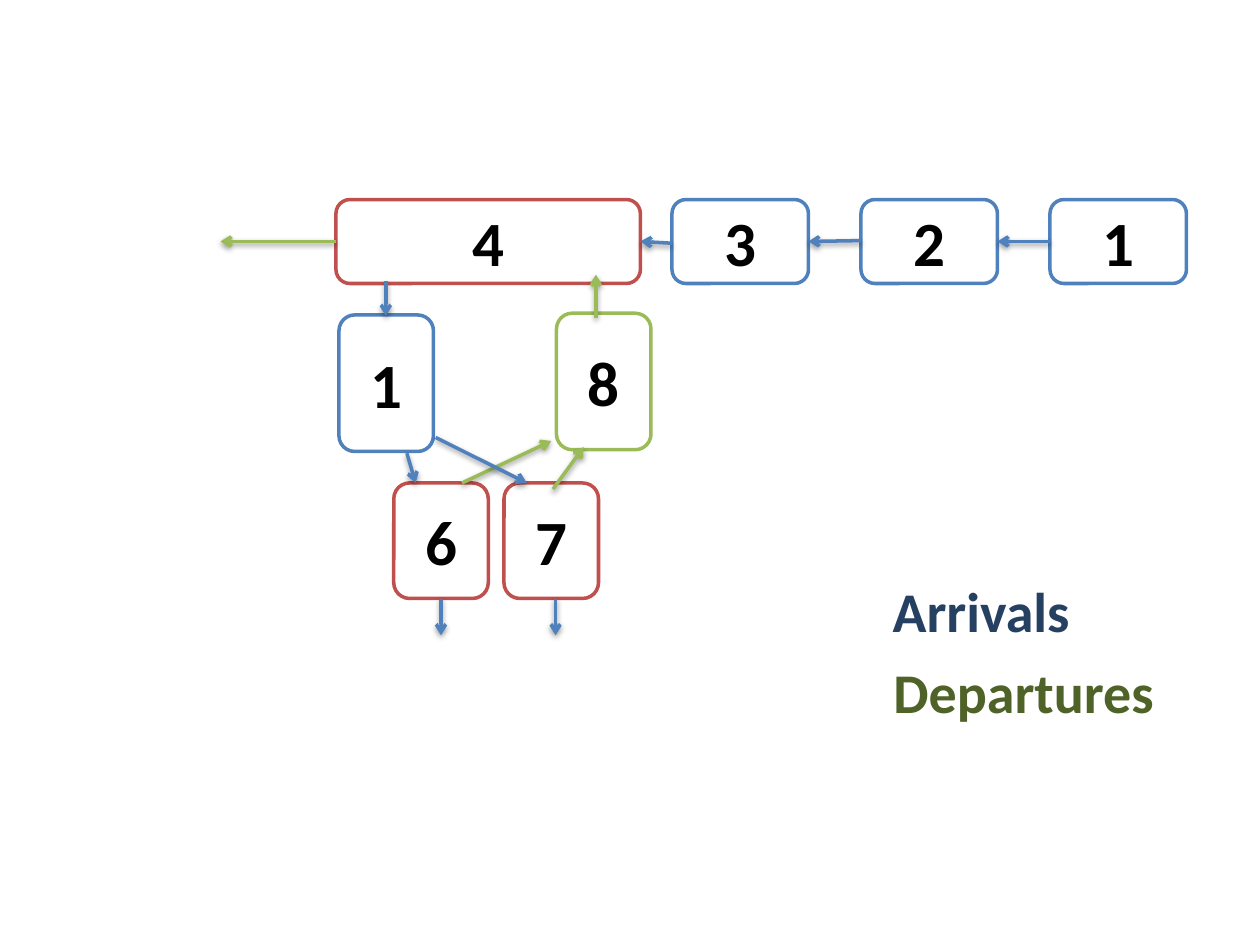
from lxml.etree import fromstring
from pptx import Presentation
from pptx.dml.color import RGBColor
from pptx.enum.shapes import MSO_CONNECTOR, MSO_SHAPE
from pptx.enum.text import MSO_ANCHOR, MSO_AUTO_SIZE, PP_ALIGN
from pptx.oxml.ns import nsdecls
from pptx.util import Pt

HUES = {"blue": "4F81BD", "red": "C0504D", "green": "9BBB59", "white": "FFFFFF",
        "black": "000000", "navy": "254061", "olive": "4F6228"}

QUEUE = ["1", "2", "3"]
BOXES = [
    ("4", "red", 192, 114, 174, 48),
    ("1", "blue", 193.7, 180, 54, 78),
    ("8", "green", 318, 179, 54, 78),
    ("6", "red", 225, 276, 54, 66),
    ("7", "red", 288, 276, 54, 66),
]
ROUTES = {
    "green": [
        (264, 276, 315, 252),
        (316, 279.5, 333.5, 255.5),
        (340.5, 181.5, 340.5, 157),
        (192, 138, 126, 138),
    ],
    "blue": [
        (600, 138, 570, 138),
        (492, 137.5, 462, 138),
        (384, 139, 366, 138),
        (220.5, 160.5, 220.5, 180.5),
        (232.5, 259, 237.5, 276),
        (249, 250, 301, 276),
        (252, 342, 252, 363),
        (317.5, 342, 317.5, 363),
    ],
}
LEGEND = [("Departures", "olive", 372, 165), ("Arrivals", "navy", 326, 116.5)]

HEAD = f'<a:tailEnd {nsdecls("a")} type="arrow"/>'
SHADE = (f'<a:effectLst {nsdecls("a")}>'
         '<a:outerShdw blurRad="40000" dist="20000" dir="5400000" rotWithShape="0">'
         '<a:srgbClr val="000000"><a:alpha val="38000"/></a:srgbClr>'
         '</a:outerShdw></a:effectLst>')


def tint(name):
    return RGBColor.from_string(HUES[name])


def label(shape, text, size, hue):
    para = shape.text_frame.paragraphs[0]
    para.text = text
    para.alignment = PP_ALIGN.CENTER
    font = para.font
    font.name, font.size, font.bold = "Calibri", Pt(size), True
    font.color.rgb = tint(hue)


def add_box(slide, text, hue, *place):
    box = slide.shapes.add_shape(MSO_SHAPE.ROUNDED_RECTANGLE, *map(Pt, place))
    box.shadow.inherit = False
    box.fill.solid()
    box.fill.fore_color.rgb = tint("white")
    box.line.color.rgb = tint(hue)
    box.line.width = Pt(2)
    box.text_frame.vertical_anchor = MSO_ANCHOR.MIDDLE
    label(box, text, 36, "black")


def add_arrow(slide, hue, ends):
    arrow = slide.shapes.add_connector(MSO_CONNECTOR.STRAIGHT, *map(Pt, ends))
    arrow.line.color.rgb = tint(hue)
    arrow.line.width = Pt(2)
    arrow.line._get_or_add_ln().append(fromstring(HEAD))
    arrow._element.spPr.append(fromstring(SHADE))


def main():
    """Build the slide of arrival and departure routes."""
    deck = Presentation()
    deck.slide_width, deck.slide_height = Pt(720), Pt(540)
    slide = deck.slides.add_slide(deck.slide_layouts[6])
    for i, text in enumerate(QUEUE):
        add_box(slide, text, "blue", 600 - 108 * i, 114, 78, 48)
    for item in BOXES:
        add_box(slide, *item)
    for hue, routes in ROUTES.items():
        for ends in routes:
            add_arrow(slide, hue, ends)
    for text, hue, top, width in LEGEND:
        note = slide.shapes.add_textbox(Pt(502.5), Pt(top), Pt(width), Pt(46))
        note.text_frame.word_wrap = False
        note.text_frame.auto_size = MSO_AUTO_SIZE.SHAPE_TO_FIT_TEXT
        label(note, text, 32, hue)
    deck.save("out.pptx")


if __name__ == "__main__":
    main()
